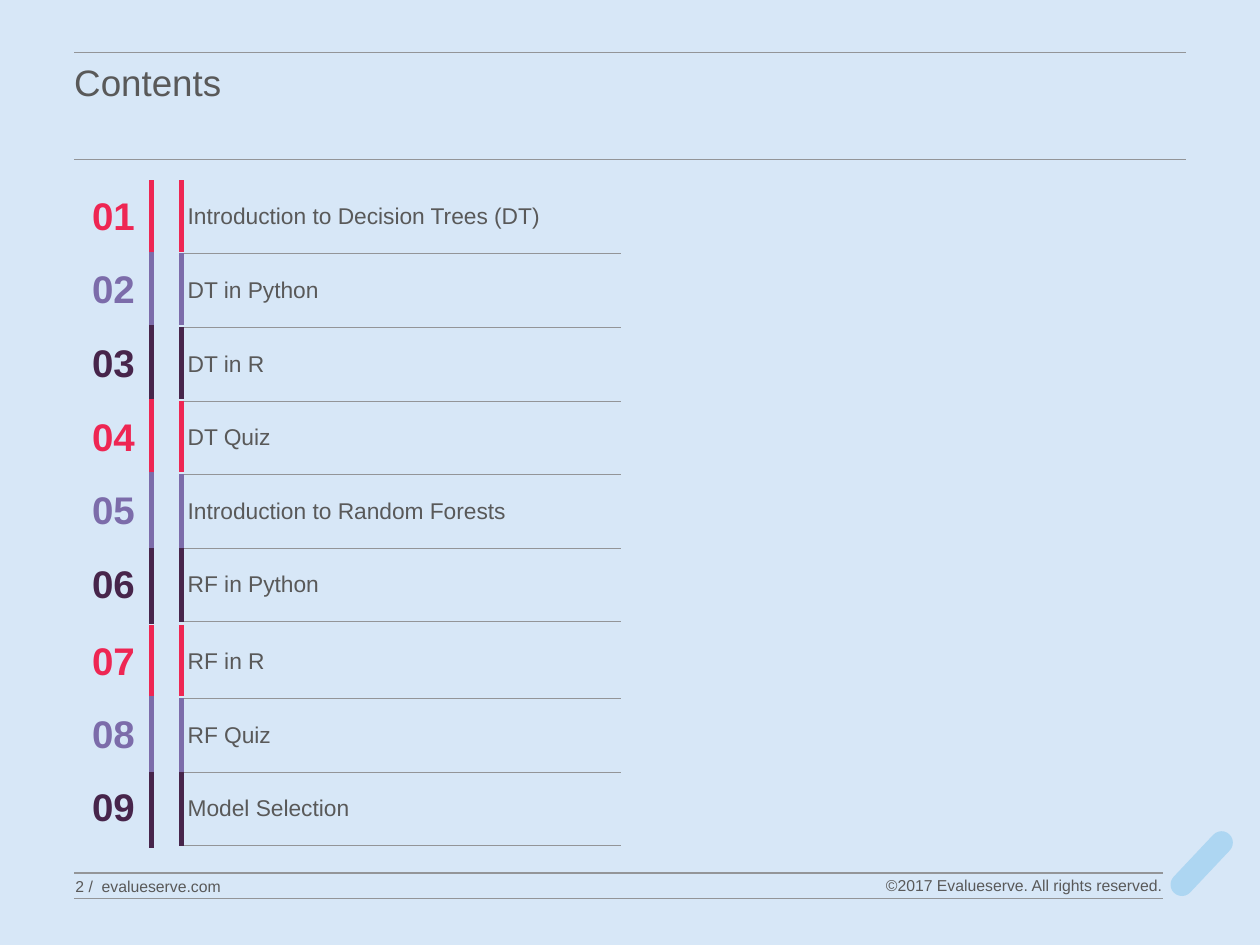
import pptx
import pptx.util
import pptx.dml.color
import pptx.enum.shapes
import pptx.enum.text
import pptx.oxml
from lxml import etree

Pt = pptx.util.Pt
ALIGN = pptx.enum.text.PP_ALIGN
ANCHOR = pptx.enum.text.MSO_ANCHOR
NAMESPACE = "http://schemas.openxmlformats.org/drawingml/2006/main"
NO_STYLE = "{2D5ABB26-0587-4C30-8999-92F81FD0307C}"
BACKGROUND, TEXT, RULE = "D7E7F7", "595959", "939598"
ACCENTS = ["EE2653", "7C6CAA", "47254B"]
ROW_HEIGHT = 42.05
COLUMN_WIDTHS = [43.2, 9.1, 251.3]
SECTIONS = [
    (103, ["Introduction to Decision Trees (DT)", "DT in Python", "DT in R",
           "DT Quiz", "Introduction to Random Forests"]),
    (313.2, ["RF in Python"]),
    (357.1, ["RF in R", "RF Quiz"]),
    (441, ["Model Selection"]),
]


def rgb(value):
    return pptx.dml.color.RGBColor.from_string(value)


def style(paragraph, size, color=TEXT, align=ALIGN.LEFT, bold=False):
    paragraph.alignment = align
    paragraph.font.name = "Arial"
    paragraph.font.size = Pt(size)
    paragraph.font.bold = bold
    paragraph.font.color.rgb = rgb(color)


def add_text(slide, box, text, size, anchor, align=ALIGN.LEFT, inset=0):
    frame = slide.shapes.add_textbox(*map(Pt, box)).text_frame
    frame.word_wrap = True
    frame.vertical_anchor = anchor
    frame.margin_left = frame.margin_right = 0
    frame.margin_top = frame.margin_bottom = Pt(inset)
    frame.text = text
    style(frame.paragraphs[0], size, align=align)


def add_rule(slide, left, top, width):
    rule = slide.shapes.add_connector(
        pptx.enum.shapes.MSO_CONNECTOR.STRAIGHT,
        Pt(left), Pt(top), Pt(left + width), Pt(top))
    rule.line.color.rgb = rgb(RULE)
    rule.line.width = Pt(0.75)
    etree.SubElement(rule._element.spPr, f"{{{NAMESPACE}}}effectLst")


def set_borders(cell, **borders):
    properties = cell._tc.get_or_add_tcPr()
    for side in "LRTB":
        if side in borders:
            color, width = borders[side]
            properties.append(pptx.oxml.parse_xml(
                f'<a:ln{side} xmlns:a="{NAMESPACE}" w="{int(Pt(width))}">'
                f'<a:solidFill><a:srgbClr val="{color}"/></a:solidFill></a:ln{side}>'))


def fill_cell(cell, text, size, color, align=ALIGN.LEFT, bold=False):
    cell.text = text
    cell.vertical_anchor = ANCHOR.MIDDLE
    cell.margin_left = cell.margin_right = Pt(3.6)
    cell.margin_top = cell.margin_bottom = Pt(1.44)
    style(cell.text_frame.paragraphs[0], size, color, align, bold)


def add_section(slide, left, top, first_number, topics):
    table = slide.shapes.add_table(
        len(topics), 3, Pt(left), Pt(top),
        Pt(sum(COLUMN_WIDTHS)), Pt(ROW_HEIGHT * len(topics))).table
    table.first_row = table.horz_banding = False
    table._tbl.tblPr.find(f"{{{NAMESPACE}}}tableStyleId").text = NO_STYLE
    for column, width in zip(table.columns, COLUMN_WIDTHS):
        column.width = Pt(width)
    for index, topic in enumerate(topics):
        number = first_number + index
        accent = ACCENTS[(number - 1) % len(ACCENTS)]
        table.rows[index].height = Pt(ROW_HEIGHT)
        number_cell, gap_cell, topic_cell = table.rows[index].cells
        fill_cell(number_cell, f"{number:02d}", 22, accent, ALIGN.CENTER, True)
        fill_cell(topic_cell, topic, 13, TEXT)
        set_borders(number_cell, R=(accent, 3))
        set_borders(gap_cell, L=(accent, 3), B=(BACKGROUND, 3))
        set_borders(topic_cell, B=(RULE, 0.5))
        for cell in (number_cell, gap_cell, topic_cell):
            cell.fill.background()


def add_header(slide, left, top, width, height):
    add_rule(slide, left, top, width)
    add_rule(slide, left, top + height, width)
    add_text(slide, (left, top + 0.7, width, 56.2), "Contents", 21,
             ANCHOR.TOP, inset=3.6)


def add_contents(slide, left):
    first_number = 1
    for top, topics in SECTIONS:
        add_section(slide, left, top, first_number, topics)
        first_number += len(topics)


def add_footer(slide, left, top, width, height):
    add_rule(slide, left, top, width)
    add_rule(slide, left, top + height, width)
    add_text(slide, (left + 0.7, top, 106, height), "2 /  evalueserve.com", 9,
             ANCHOR.MIDDLE)
    add_text(slide, (left + width - 228.7, top + 0.7, 228.2, 13),
             "©2017 Evalueserve. All rights reserved.", 9,
             ANCHOR.MIDDLE, ALIGN.RIGHT)


def add_corner_mark(slide, left, top, width, height):
    mark = slide.shapes.add_shape(
        pptx.enum.shapes.MSO_SHAPE.ROUNDED_RECTANGLE,
        Pt(left), Pt(top), Pt(width), Pt(height))
    mark.adjustments[0] = 0.5
    mark.rotation = 43.3
    mark.shadow.inherit = False
    mark.fill.solid()
    mark.fill.fore_color.rgb = rgb("ADD6F2")
    mark.line.fill.background()


def main():
    deck = pptx.Presentation()
    deck.slide_width, deck.slide_height = Pt(720), Pt(540)
    slide = deck.slides.add_slide(deck.slide_layouts[6])
    slide.background.fill.solid()
    slide.background.fill.fore_color.rgb = rgb(BACKGROUND)
    add_header(slide, 42.4, 30, 635.5, 61.3)
    add_contents(slide, 43.2)
    add_footer(slide, 42.4, 498.8, 622.1, 14.6)
    add_corner_mark(slide, 680.2, 470.5, 13, 46)
    deck.save("out.pptx")


if __name__ == "__main__":
    main()
